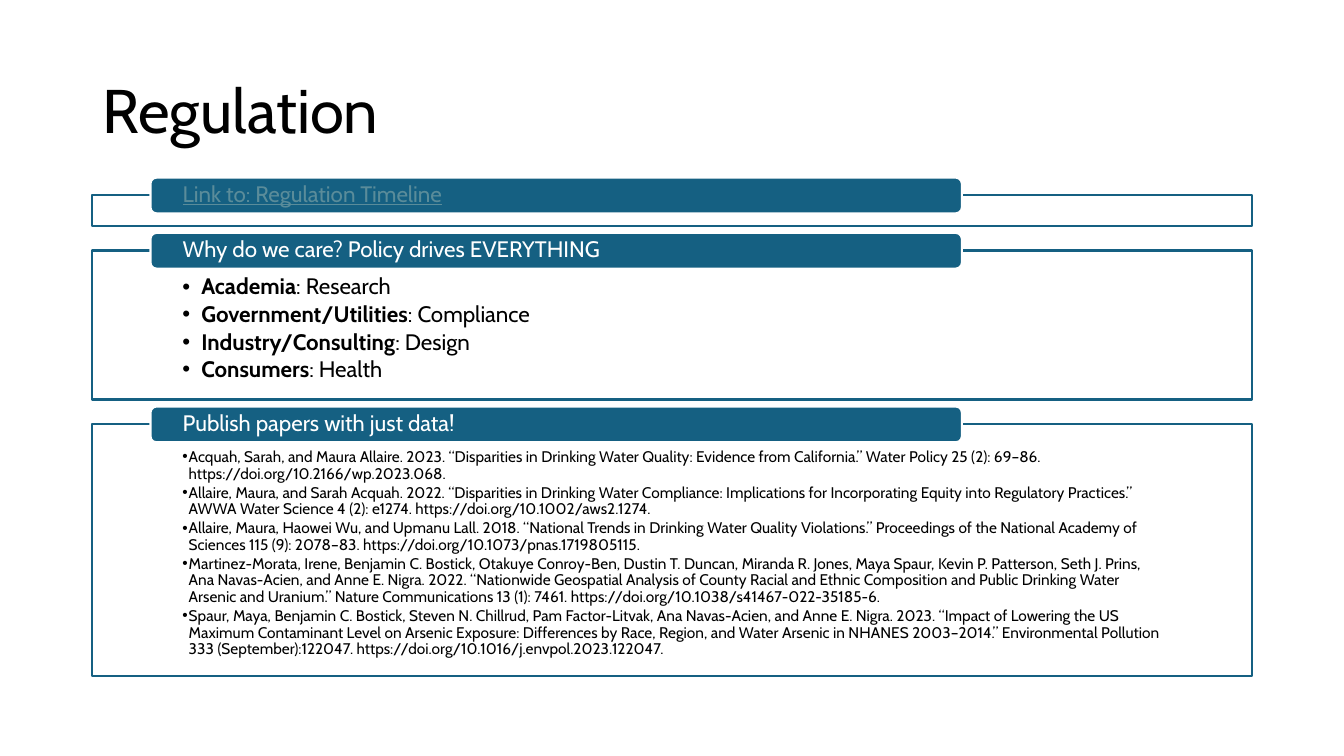
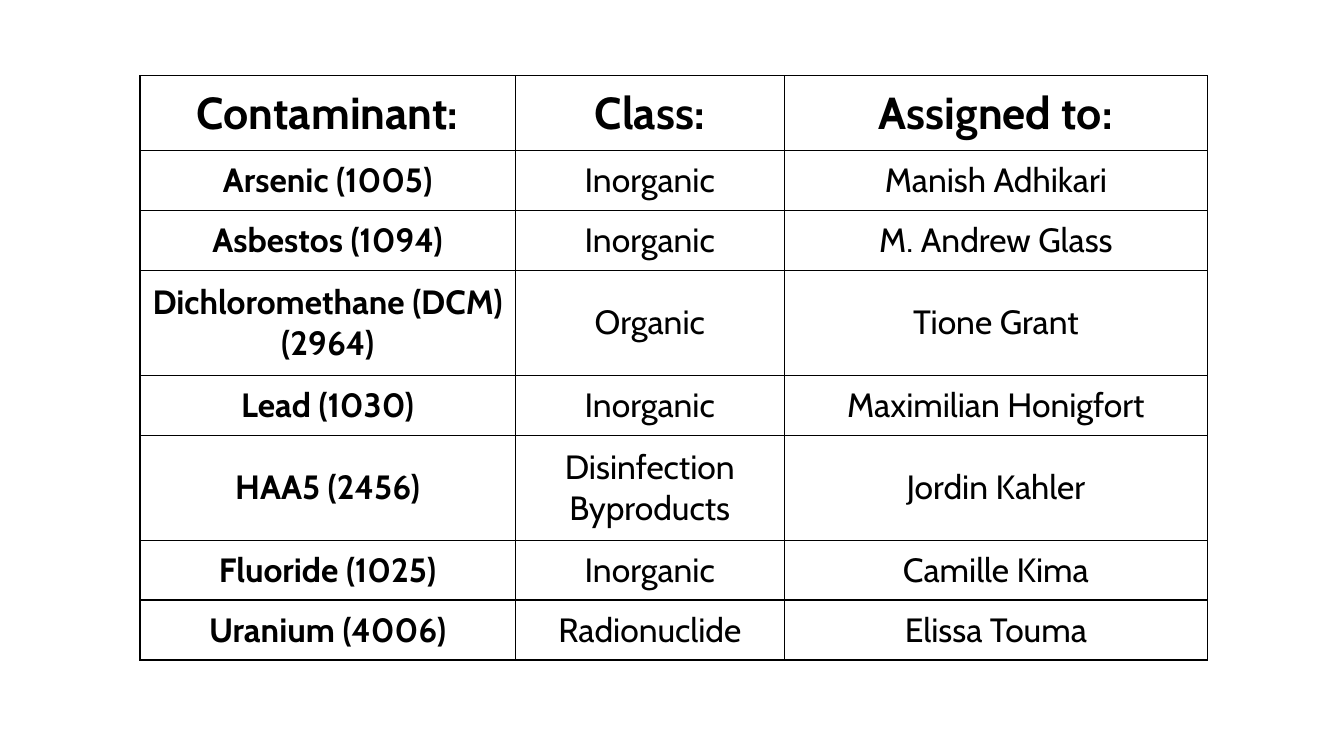
from dataclasses import dataclass
from lxml import etree
from pptx import Presentation, util as u
from pptx.dml.color import RGBColor as RGB
from pptx.enum import shapes, text
from pptx.oxml import ns

Pt = u.Pt


@dataclass
class Theme:
    face: str = "Cabin"
    black: RGB = RGB(0, 0, 0)
    white: RGB = RGB(255, 255, 255)
    blue: RGB = RGB(0x15, 0x60, 0x82)
    link: RGB = RGB(0x5A, 0x8C, 0x9A)
    title: int = 44
    head: int = 32
    cell: int = 24
    item: int = 16
    cite: int = 11
    line: float = 1.5


theme = Theme()


def style(para, size, color, bold=None):
    """Set the font of a whole paragraph."""
    font = para.font
    font.name, font.size, font.bold = theme.face, Pt(size), bold
    font.color.rgb = color


def paint(shape, fill, line):
    """Give a shape a solid fill and an outline."""
    shape.fill.solid()
    shape.fill.fore_color.rgb = fill
    shape.line.color.rgb = line
    shape.line.width = Pt(theme.line)


deck = Presentation()
deck.slide_width, deck.slide_height = Pt(960), Pt(540)

# Slide 1: title and three tabbed panels
slide = deck.slides.add_slide(deck.slide_layouts[3])
title, *bodies = slide.placeholders
left, width = 65.9, 828.2

title.left, title.top, title.width, title.height = Pt(left), Pt(28.8), Pt(width), Pt(104.4)
title.text_frame.text = "Regulation"
title.text_frame.vertical_anchor = text.MSO_ANCHOR.MIDDLE
para = title.text_frame.paragraphs[0]
para.alignment = text.PP_ALIGN.LEFT
para.line_spacing = 0.9
style(para, theme.title, theme.black)

uses = [
    ("Academia", ": Research"),
    ("Government/Utilities", ": Compliance"),
    ("Industry/Consulting", ": Design"),
    ("Consumers", ": Health"),
]
papers = [
    "Acquah, Sarah, and Maura Allaire. 2023. “Disparities in Drinking Water Quality: "
    "Evidence from California.” Water Policy 25 (2): 69–86. "
    "https://doi.org/10.2166/wp.2023.068.",
    "Allaire, Maura, and Sarah Acquah. 2022. “Disparities in Drinking Water Compliance: "
    "Implications for Incorporating Equity into Regulatory Practices.” "
    "AWWA Water Science 4 (2): e1274. https://doi.org/10.1002/aws2.1274.",
    "Allaire, Maura, Haowei Wu, and Upmanu Lall. 2018. “National Trends in Drinking Water "
    "Quality Violations.” Proceedings of the National Academy of Sciences 115 (9): 2078–83. "
    "https://doi.org/10.1073/pnas.1719805115.",
    "Martinez-Morata, Irene, Benjamin C. Bostick, Otakuye Conroy-Ben, Dustin T. Duncan, "
    "Miranda R. Jones, Maya Spaur, Kevin P. Patterson, Seth J. Prins, Ana Navas-Acien, "
    "and Anne E. Nigra. 2022. “Nationwide Geospatial Analysis of County Racial and Ethnic "
    "Composition and Public Drinking Water Arsenic and Uranium.” "
    "Nature Communications 13 (1): 7461. https://doi.org/10.1038/s41467-022-35185-6.",
    "Spaur, Maya, Benjamin C. Bostick, Steven N. Chillrud, Pam Factor-Litvak, "
    "Ana Navas-Acien, and Anne E. Nigra. 2023. “Impact of Lowering the US Maximum "
    "Contaminant Level on Arsenic Exposure: Differences by Race, Region, and Water Arsenic "
    "in NHANES 2003–2014.” Environmental Pollution 333 (September):122047. "
    "https://doi.org/10.1016/j.envpol.2023.122047.",
]
# Heading, panel height, items as (bold, plain), type size, hanging indent
panels = [
    ("Link to: Regulation Timeline", 22, [], theme.item, 0),
    ("Why do we care? Policy drives EVERYTHING", 106.5, uses, theme.item, 13.5),
    ("Publish papers with just data!", 180, [("", cite) for cite in papers], theme.cite, 4.5),
]
top, gap = 139.4, 17.5
for name, high, items, size, hang in panels:
    # Panel: a body placeholder where there is a list
    area = Pt(left), Pt(top), Pt(width), Pt(high)
    if items:
        box = bodies.pop(0)
        box.left, box.top, box.width, box.height = area
    else:
        box = slide.shapes.add_shape(shapes.MSO_SHAPE.RECTANGLE, *area)
        box.shadow.inherit = False
    paint(box, theme.white, theme.blue)

    # List
    frame = box.text_frame
    if items:
        frame.auto_size = text.MSO_AUTO_SIZE.NONE
        frame.margin_left = frame.margin_right = Pt(64.4)
        frame.margin_top, frame.margin_bottom = Pt(18), Pt(7)
    for i, (bold, plain) in enumerate(items):
        para = frame.add_paragraph() if i else frame.paragraphs[0]
        props = para._p.get_or_add_pPr()
        props.set("marL", str(Pt(hang)))
        props.set("indent", str(-Pt(hang)))
        para.line_spacing = 0.9
        para.space_before, para.space_after = Pt(0), Pt(size * 0.15)
        style(para, size, theme.black)
        if bold:
            run = para.add_run()
            run.text, run.font.bold = bold, True
        para.add_run().text = plain

    # Heading tab
    tab = slide.shapes.add_shape(
        shapes.MSO_SHAPE.ROUNDED_RECTANGLE, Pt(107.5), Pt(top - 12.5), Pt(579.6), Pt(25.5))
    tab.shadow.inherit = False
    paint(tab, theme.blue, theme.white)
    frame = tab.text_frame
    frame.text = name
    frame.word_wrap = True
    frame.vertical_anchor = text.MSO_ANCHOR.MIDDLE
    frame.margin_left = frame.margin_right = Pt(21.8)
    frame.margin_top = frame.margin_bottom = 0
    para = frame.paragraphs[0]
    para.alignment = text.PP_ALIGN.LEFT
    para.line_spacing = 0.9
    style(para, theme.item, theme.white if items else theme.link)
    para.font.underline = not items
    top += high + gap

# Slide 2: table of assignments
rows = [
    ("Contaminant:", "Class:", "Assigned to:"),
    ("Arsenic (1005)", "Inorganic", "Manish Adhikari"),
    ("Asbestos (1094)", "Inorganic", "M. Andrew Glass"),
    ("Dichloromethane (DCM) (2964)", "Organic", "Tione Grant"),
    ("Lead (1030)", "Inorganic", "Maximilian Honigfort"),
    ("HAA5 (2456)", "Disinfection Byproducts", "Jordin Kahler"),
    ("Fluoride (1025)", "Inorganic", "Camille Kima"),
    ("Uranium (4006)", "Radionuclide", "Elissa Touma"),
]
cols = [268, 192.3, 302.2]
short, tall = 42.8, 75
highs = [53.6, short, short, tall, short, tall, short, short]

slide = deck.slides.add_slide(deck.slide_layouts[6])
table = slide.shapes.add_table(
    len(rows), len(cols), Pt(100), Pt(54), Pt(sum(cols)), Pt(sum(highs))).table
table.first_row = table.horz_banding = False
for col, wide in zip(table.columns, cols):
    col.width = Pt(wide)
for r, (row, high) in enumerate(zip(rows, highs)):
    table.rows[r].height = Pt(high)
    for c, words in enumerate(row):
        cell = table.cell(r, c)
        cell.text = words
        cell.vertical_anchor = text.MSO_ANCHOR.MIDDLE
        para = cell.text_frame.paragraphs[0]
        para.alignment = text.PP_ALIGN.CENTER
        style(para, theme.cell if r else theme.head, theme.black, r == 0 or c == 0)
        # Borders go before the fill
        props = cell._tc.get_or_add_tcPr()
        for side in ("lnL", "lnR", "lnT", "lnB"):
            edge = etree.SubElement(props, ns.qn(f"a:{side}"), w=str(Pt(1)))
            fill = etree.SubElement(edge, ns.qn("a:solidFill"))
            etree.SubElement(fill, ns.qn("a:srgbClr"), val=str(theme.black))
        cell.fill.solid()
        cell.fill.fore_color.rgb = theme.white

deck.save("out.pptx")
